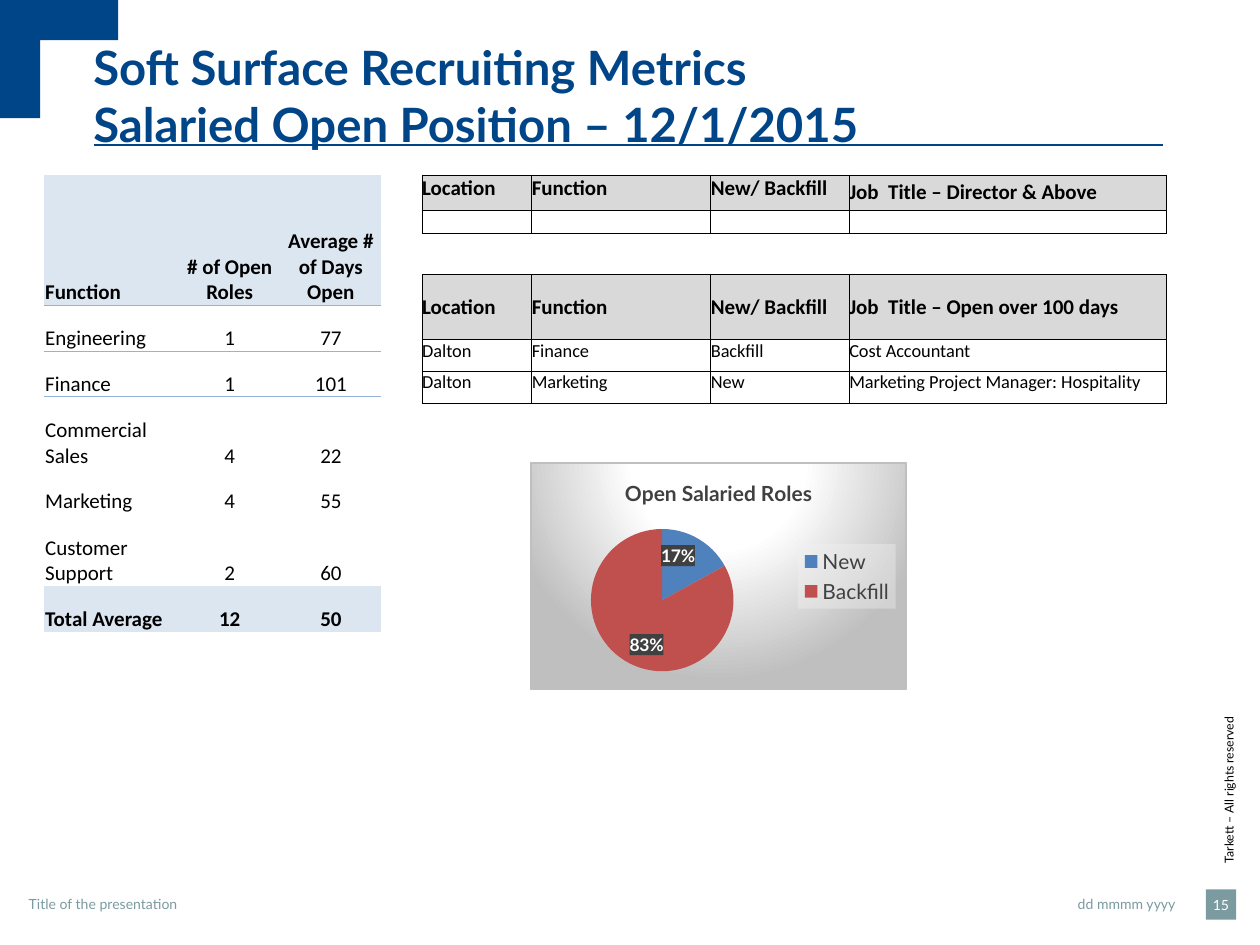
"""Build the slide of recruiting metrics for salaried open positions."""
from dataclasses import dataclass

from lxml import etree
from pptx import Presentation, oxml
from pptx.chart import data
from pptx.dml.color import RGBColor
from pptx.enum import chart as kinds, shapes, text
from pptx.util import Cm, Pt


@dataclass
class Theme:
    navy: str = "004588"
    teal: str = "7B9BA1"
    black: str = "000000"
    white: str = "FFFFFF"
    dark: str = "404040"
    gray: str = "D9D9D9"
    edge: str = "BFBFBF"
    pale: str = "DCE6F1"
    rule: str = "95B3D7"
    slices: tuple = ("4F81BD", "C0504D")
    face: str = "Lato"
    body: str = "Calibri"
    title: float = 27
    head: float = 12
    cell: float = 10.5
    label: float = 10
    foot: float = 8
    tiny: float = 7


look = Theme()
qn = oxml.ns.qn
left, center, right = text.PP_ALIGN.LEFT, text.PP_ALIGN.CENTER, text.PP_ALIGN.RIGHT
top, middle, bottom = (text.MSO_ANCHOR.TOP, text.MSO_ANCHOR.MIDDLE,
                       text.MSO_ANCHOR.BOTTOM)


def style(font, size, color, bold=False, face=look.face):
    font.name, font.size, font.bold = face, Pt(size), bold
    font.color.rgb = RGBColor.from_string(color)


def grid(place, cols, rows, cells, fills, sides, line, sizes, bolds, anchors, aligns, pad):
    frame = slide.shapes.add_table(len(rows), len(cols), Cm(place[0]), Cm(place[1]),
                                   Cm(sum(cols)), Cm(sum(rows)))
    table = frame.table
    table.first_row = table.horz_banding = False
    table._tbl.tblPr.find(qn("a:tableStyleId")).text = "{2D5ABB26-0587-4C30-8999-92F81FD0307C}"
    for col, width in zip(table.columns, cols):
        col.width = Cm(width)
    for r, height in enumerate(rows):
        table.rows[r].height = Cm(height)
        for c, words in enumerate(cells[r]):
            cell = table.cell(r, c)
            cell.margin_left = cell.margin_right = cell.margin_top = Cm(pad)
            cell.margin_bottom = 0
            cell.vertical_anchor = anchors[r][c]
            cell.text = words
            par = cell.text_frame.paragraphs[0]
            par.alignment = aligns[c]
            style(par.font, sizes[r], look.black, bolds[r], look.body)
            if not words:
                etree.SubElement(par._p, qn("a:endParaRPr"), sz=str(int(sizes[r] * 100)))
            if fills[r]:
                cell.fill.solid()
                cell.fill.fore_color.rgb = RGBColor.from_string(fills[r])
            else:
                cell.fill.background()
            for side in reversed(sides[r]):
                cell._tc.tcPr.insert(0, oxml.parse_xml(
                    f'<a:ln{side} {oxml.ns.nsdecls("a")} w="6350"><a:solidFill>'
                    f'<a:srgbClr val="{line}"/></a:solidFill></a:ln{side}>'))


deck = Presentation()
deck.slide_width, deck.slide_height = Cm(25.4), Cm(19.05)
slide = deck.slides.add_slide(deck.slide_layouts[5])

arm, thick = Cm(2.38), Cm(0.81)
pen = slide.shapes.build_freeform(0, 0)
pen.add_line_segments([(arm, 0), (arm, thick), (thick, thick), (thick, arm), (0, arm)])
corner = pen.convert_to_shape()
corner.shadow.inherit = False
corner.fill.solid()
corner.fill.fore_color.rgb = RGBColor.from_string(look.navy)
corner.line.fill.background()

rule = slide.shapes.add_connector(shapes.MSO_CONNECTOR.STRAIGHT,
                                  Cm(1.9), Cm(2.92), Cm(23.44), Cm(2.92))
rule.line.color.rgb = RGBColor.from_string(look.navy)
rule.line.width = Pt(1)
etree.SubElement(rule._element.spPr, qn("a:effectLst"))

title = slide.shapes.title
title.left, title.top, title.width, title.height = Cm(1.78), Cm(0.76), Cm(21.49), Cm(2.31)
frame = title.text_frame
frame.text = "Soft Surface Recruiting Metrics\vSalaried Open Position – 12/1/2015"
frame.auto_size = text.MSO_AUTO_SIZE.NONE
frame.vertical_anchor = middle
frame.margin_left = frame.margin_right = Cm(0.1)
frame.margin_top = frame.margin_bottom = 0
frame.paragraphs[0].alignment = left
style(frame.paragraphs[0].font, look.title, look.navy, True)

notes = [
    ("Tarkett – All rights reserved", (23.22, 15.7, 3.1, 0.3), 270, left, 0,
     look.tiny, look.black),
    ("dd mmmm yyyy", (20.29, 18.06, 3.51, 0.33), 0, right, 0.1, look.foot, look.teal),
    ("Title of the presentation", (0.48, 18.06, 8.64, 0.33), 0, left, 0.1,
     look.foot, look.teal),
    ("15", (24.31, 17.93, 0.61, 0.61), 0, center, 0, look.foot, look.white),
]
for words, place, turn, align, pad, size, color in notes:
    box = slide.shapes.add_textbox(*map(Cm, place))
    box.rotation = turn
    frame = box.text_frame
    frame.word_wrap = True
    frame.margin_left = frame.margin_right = Cm(pad)
    frame.margin_top = frame.margin_bottom = 0
    frame.text = words
    frame.paragraphs[0].alignment = align
    style(frame.paragraphs[0].font, size, color)
    if color == look.white:
        frame.vertical_anchor = middle
        box.fill.solid()
        box.fill.fore_color.rgb = RGBColor.from_string(look.teal)

wide = (2.21, 3.61, 2.79, 6.4)
heads = ("Location", "Function", "New/ Backfill")
grid((8.51, 3.53), wide, (0.71, 0.46),
     [(*heads, "Job  Title – Director & Above"), ("",) * 4],
     (look.gray, None), ["LRTB"] * 2, look.black, (look.head, look.label), (True, False),
     [(top, top, top, middle), (top,) * 4], (left,) * 4, 0)

roles = [
    ("Function", "# of Open Roles", "Average # of Days Open"),
    ("Engineering", "1", "77"),
    ("Finance", "1", "101"),
    ("Commercial Sales", "4", "22"),
    ("Marketing", "4", "55"),
    ("Customer Support", "2", "60"),
    ("Total Average", "12", "50"),
]
ends = [r in (0, 6) for r in range(7)]
grid((0.89, 3.53), (2.72, 2.04, 2.04), (2.63, 0.92, 0.92, 1.45, 0.92, 1.45, 0.92), roles,
     [look.pale if end else None for end in ends], ["B", "TB", "T", "", "", "", ""],
     look.rule, [look.head] * 7, ends, [(bottom,) * 3] * 7, (left, center, center), 0.02)

grid((8.51, 5.54), wide, (1.31, 0.64, 0.64),
     [(*heads, "Job  Title – Open over 100 days"),
      ("Dalton", "Finance", "Backfill", "Cost Accountant"),
      ("Dalton", "Marketing", "New", "Marketing Project Manager: Hospitality")],
     (look.gray, None, None), ["LRTB"] * 3, look.black,
     (look.head, look.cell, look.cell), (True, False, False),
     [(middle,) * 4, (top,) * 4, (top,) * 4], (left,) * 4, 0)

share = data.CategoryChartData()
share.categories = ["New", "Backfill"]
share.add_series("Series 1", (17, 83))
pie = slide.shapes.add_chart(kinds.XL_CHART_TYPE.PIE, Cm(10.69), Cm(9.32),
                             Cm(7.59), Cm(4.6), share).chart
style(pie.font, look.label, look.black)
pie.has_title = True
pie.chart_title.include_in_layout = False
pie.chart_title.text_frame.text = "Open Salaried Roles"
style(pie.chart_title.text_frame.paragraphs[0].font, look.head, look.dark, True)
pie.has_legend = True
pie.legend.position = kinds.XL_LEGEND_POSITION.RIGHT
pie.legend.include_in_layout = False
style(pie.legend.font, look.head, look.dark)
plot = pie.plots[0]
plot.vary_by_categories = True
for n, color in enumerate(look.slices):
    fill = plot.series[0].points[n].format.fill
    fill.solid()
    fill.fore_color.rgb = RGBColor.from_string(color)
plot.has_data_labels = True
tags = plot.data_labels
tags.show_percentage, tags.show_value = True, False
tags.number_format, tags.number_format_is_linked = "0%", False
tags.position = kinds.XL_LABEL_POSITION.INSIDE_END
style(tags.font, look.label, look.white, True)

stops = ((0, look.white), (39, look.white), (100, look.edge))
glow = "".join(f'<a:gs pos="{at}000"><a:srgbClr val="{color}"/></a:gs>' for at, color in stops)
shade = '<a:solidFill><a:srgbClr val="{}"><a:alpha val="{}000"/></a:srgbClr></a:solidFill>'
fills = [
    (pie._chartSpace, f'<a:gradFill><a:gsLst>{glow}</a:gsLst><a:path path="circle">'
     '<a:fillToRect l="50000" t="-80000" r="50000" b="180000"/></a:path></a:gradFill>'
     f'<a:ln w="9525">{shade.format(look.edge, 100)}</a:ln>'),
    (pie.legend._element, shade.format("F2F2F2", 39)),
    (tags._element, shade.format(look.dark, 90)),
]
for part, fill in fills:
    part.find(qn("c:txPr")).addprevious(oxml.parse_xml(
        f'<c:spPr {oxml.ns.nsdecls("c", "a")}>{fill}</c:spPr>'))

area = pie._chartSpace.chart.plotArea
for old in area.findall(qn("c:layout")):
    area.remove(old)
room = etree.Element(qn("c:layout"))
spot = etree.SubElement(room, qn("c:manualLayout"))
for key, value in (("layoutTarget", "inner"), ("xMode", "edge"), ("yMode", "edge"),
                   ("x", 0.16), ("y", 0.29), ("w", 0.38), ("h", 0.63)):
    etree.SubElement(spot, qn(f"c:{key}"), val=str(value))
area.insert(0, room)

deck.save("out.pptx")
